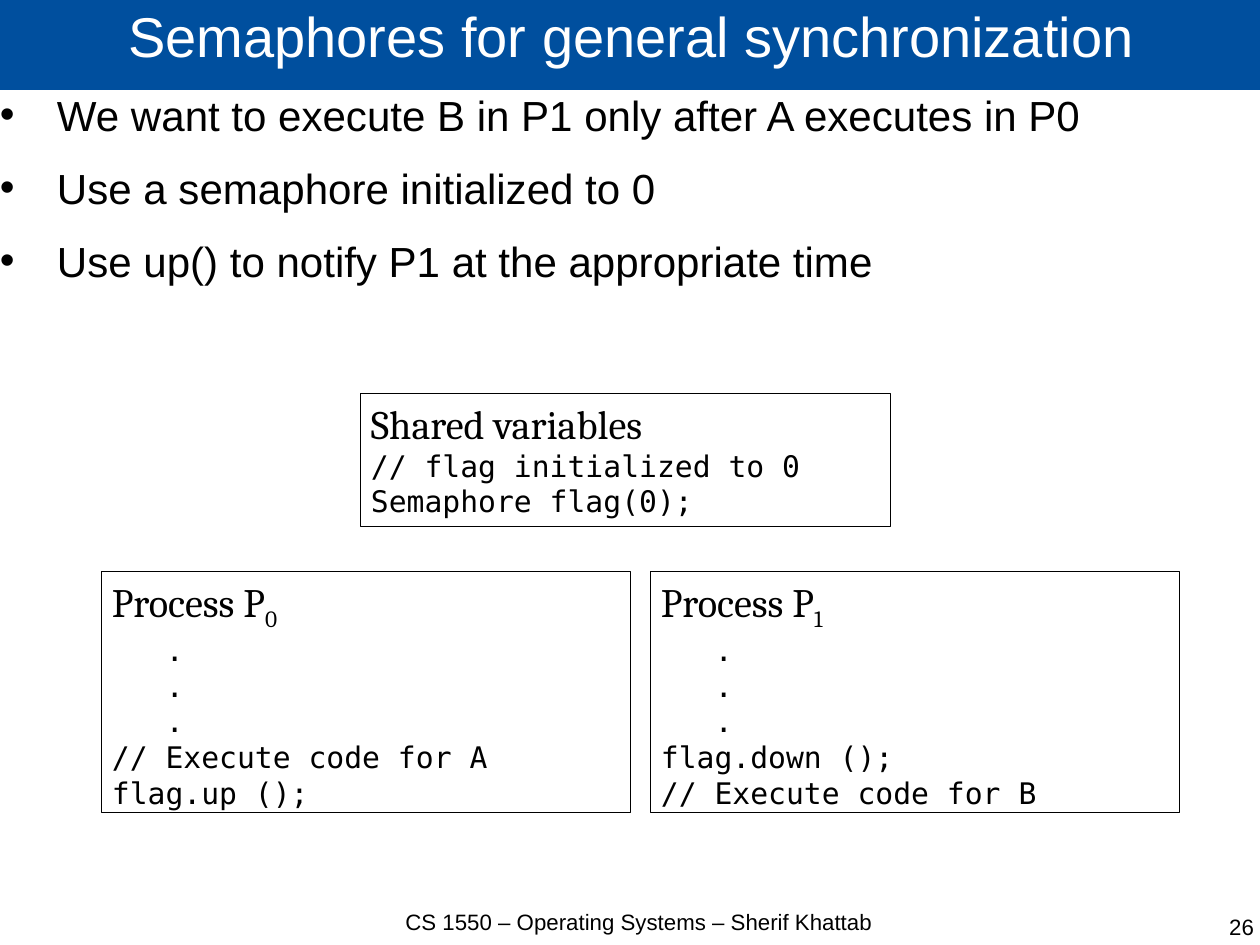
from lxml.etree import SubElement
from pptx import Presentation
from pptx.dml.color import RGBColor
from pptx.enum.shapes import MSO_SHAPE as Shape
from pptx.enum.text import MSO_ANCHOR as Anchor, MSO_AUTO_SIZE as AutoSize, PP_ALIGN as Align
from pptx.oxml.ns import qn
from pptx.util import Pt

PX = 8000
WIDTH, HEIGHT = 1260, 945
BLUE = RGBColor(0x00, 0x4F, 0x9E)
WHITE = RGBColor(0xFF, 0xFF, 0xFF)
BLACK = RGBColor(0x00, 0x00, 0x00)
SANS, SERIF, MONO = "Arial", "Cambria", "DejaVu Sans Mono"
BULLET_INDENT, DOT_INDENT = 57, 54


def emu(box):
    """Turn a box in px into EMU."""
    return [length * PX for length in box]


def style(paragraph, font, size, color=BLACK, align=Align.LEFT):
    """Format a paragraph and all its runs."""
    paragraph.alignment = align
    for run in paragraph.runs:
        run.font.name = font
        run.font.size = Pt(size)
        run.font.color.rgb = color


def set_margins(frame, across=0, down=0):
    """Wrap the text and set its insets in px."""
    frame.word_wrap = True
    frame.margin_left = frame.margin_right = across * PX
    frame.margin_top = frame.margin_bottom = down * PX


def indent(paragraph, left, first=0):
    """Set the left and first-line indents in px."""
    properties = paragraph._p.get_or_add_pPr()
    properties.set("marL", str(left * PX))
    properties.set("indent", str(first * PX))
    return properties


def add_title(slide, box, text):
    """Draw the title band."""
    band = slide.shapes.add_shape(Shape.RECTANGLE, *emu(box))
    band.shadow.inherit = False
    band.fill.solid()
    band.fill.fore_color.rgb = BLUE
    band.line.fill.background()
    frame = band.text_frame
    set_margins(frame)
    frame.vertical_anchor = Anchor.MIDDLE
    frame.text = text
    heading = frame.paragraphs[0]
    heading.line_spacing = 0.69
    style(heading, SANS, 35.3, WHITE, Align.CENTER)


def add_bullets(slide, box, points):
    """Write the bulleted points."""
    frame = slide.shapes.add_textbox(*emu(box)).text_frame
    set_margins(frame)
    frame.text = "\n".join(points)
    for point in frame.paragraphs:
        style(point, SANS, 26.5)
        point.space_after = Pt(14.2)
        properties = indent(point, BULLET_INDENT, -BULLET_INDENT)
        SubElement(properties, qn("a:buFont"), typeface=SANS)
        SubElement(properties, qn("a:buChar"), char="•")


def add_footer(slide, box, text, align):
    """Write one footer text."""
    frame = slide.shapes.add_textbox(*emu(box)).text_frame
    set_margins(frame)
    frame.text = text
    style(frame.paragraphs[0], SANS, 14, align=align)


def add_code(slide, box, heading, subscript, lines):
    """Draw a framed listing under its heading."""
    panel = slide.shapes.add_shape(Shape.RECTANGLE, *emu(box))
    panel.shadow.inherit = False
    panel.fill.background()
    panel.line.color.rgb = BLACK
    panel.line.width = Pt(0.5)
    frame = panel.text_frame
    set_margins(frame, 11, 6)
    frame.vertical_anchor = Anchor.TOP
    frame.auto_size = AutoSize.SHAPE_TO_FIT_TEXT
    frame.text = "\n".join([heading, *lines])
    title, *code = frame.paragraphs
    if subscript:
        number = title.add_run()
        number.text = subscript
        number._r.get_or_add_rPr().set("baseline", "-25000")
    style(title, SERIF, 25.4)
    for line in code:
        style(line, MONO, 18.7)
        if line.text == ".":
            indent(line, DOT_INDENT)


def main():
    """Build the slide and save it."""
    deck = Presentation()
    deck.slide_width, deck.slide_height = emu((WIDTH, HEIGHT))
    slide = deck.slides.add_slide(deck.slide_layouts[6])
    add_title(slide, (0, -2, 1262, 92), "Semaphores for general synchronization")
    add_bullets(slide, (0, 89, 1262, 821), [
        "We want to execute B in P1 only after A executes in P0",
        "Use a semaphore initialized to 0",
        "Use up() to notify P1 at the appropriate time",
    ])
    add_footer(slide, (351, 908, 576, 63),
               "CS 1550 – Operating Systems – Sherif Khattab", Align.CENTER)
    add_footer(slide, (965, 913, 289, 63), "26", Align.RIGHT)
    dots = ["."] * 3
    processes = [
        ["// Execute code for A", "flag.up ();"],
        ["flag.down ();", "// Execute code for B"],
    ]
    for index, steps in enumerate(processes):
        add_code(slide, (101 + index * 549, 571, 530, 241),
                 "Process P", str(index), dots + steps)
    add_code(slide, (360, 393, 530, 133), "Shared variables", "",
             ["// flag initialized to 0", "Semaphore flag(0);"])
    deck.save("out.pptx")


if __name__ == "__main__":
    main()
